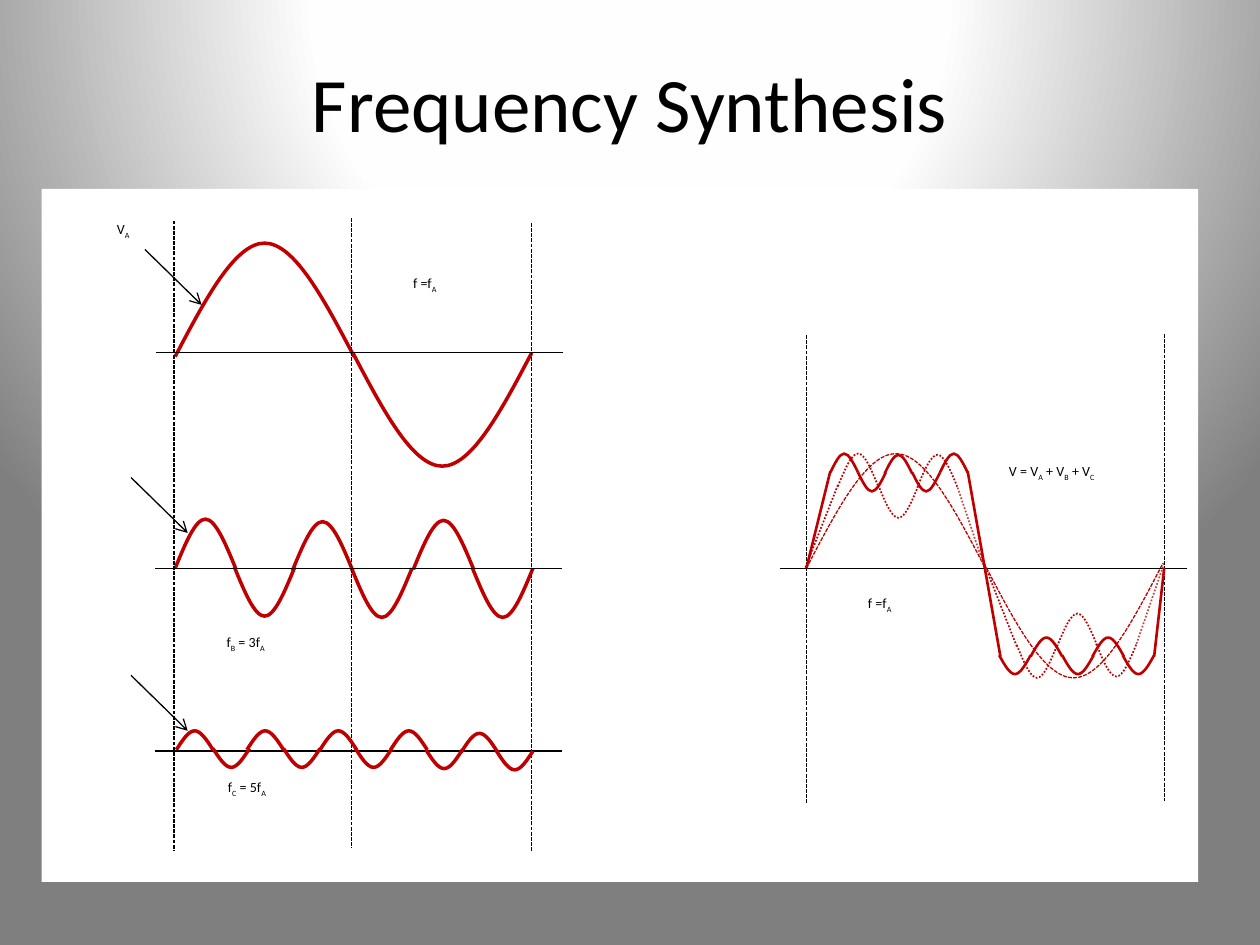
"""Build a slide that shows a wave synthesised from three sine waves."""
from lxml.etree import SubElement
from pptx import Presentation
from pptx.dml.color import RGBColor
from pptx.enum.dml import MSO_LINE_DASH_STYLE as Dash
from pptx.enum.shapes import MSO_CONNECTOR as Connector, MSO_SHAPE as Shape
from pptx.enum.text import MSO_ANCHOR as Anchor, PP_ALIGN as Align
from pptx.oxml import parse_xml
from pptx.oxml.ns import nsdecls, qn
from pptx.util import Pt

PX = 9144
BLACK = RGBColor(0x00, 0x00, 0x00)
WHITE = RGBColor(0xFF, 0xFF, 0xFF)
RED = RGBColor(0xC0, 0x00, 0x00)
PALE_RED = RGBColor(0xBF, 0x4C, 0x48)
DASHED = Dash.SQUARE_DOT
DOTTED = Dash.ROUND_DOT
STOPS = ((0, "FFFFFF"), (40, "FEFEFE"), (100, "7F7F7F"))
ARCH_HEIGHTS = (0, 0.5, 1, 1, 1, 0.5, 0)


class WaveSlide:
    def __init__(self, slide, font="Calibri"):
        self.slide = slide
        self.shapes = slide.shapes
        self.font = font

    def background(self, stops):
        stop_xml = "".join(
            f'<a:gs pos="{place * 1000}"><a:srgbClr val="{color}"/></a:gs>'
            for place, color in stops)
        self.slide.element.cSld.insert(0, parse_xml(
            f'<p:bg {nsdecls("p", "a")}><p:bgPr><a:gradFill rotWithShape="1">'
            f'<a:gsLst>{stop_xml}</a:gsLst><a:path path="circle">'
            '<a:fillToRect l="50000" t="-80000" r="50000" b="180000"/></a:path>'
            '</a:gradFill><a:effectLst/></p:bgPr></p:bg>'))

    def start_group(self):
        self.shapes = self.slide.shapes.add_group_shape().shapes

    def panel(self, x, y, width, height, color):
        panel = self.shapes.add_shape(
            Shape.RECTANGLE, x * PX, y * PX, width * PX, height * PX)
        panel.shadow.inherit = False
        panel.fill.solid()
        panel.fill.fore_color.rgb = color
        panel.line.fill.background()

    def text(self, text, x, y, width, height, size=8, align=Align.LEFT,
             anchor=Anchor.TOP, spacing=1.15, after=10):
        """Add a text box in which the parts between bars are subscripts."""
        box = self.shapes.add_textbox(x * PX, y * PX, width * PX, height * PX)
        frame = box.text_frame
        frame.word_wrap = True
        frame.vertical_anchor = anchor
        para = frame.paragraphs[0]
        para.alignment = align
        para.line_spacing = spacing
        para.space_after = Pt(after)
        for index, part in enumerate(text.split("|")):
            if not part:
                continue
            span = para.add_run()
            span.text = part
            span.font.name = self.font
            span.font.size = Pt(size)
            span.font.color.rgb = BLACK
            if index % 2:
                span.font._element.set("baseline", "-25000")

    def stroke(self, shape, color, weight, dash):
        shape.line.color.rgb = color
        shape.line.width = Pt(weight)
        if dash:
            shape.line.dash_style = dash

    def line(self, x1, y1, x2, y2, color=BLACK, weight=0.75, dash=None, arrow=False):
        line = self.shapes.add_connector(
            Connector.STRAIGHT, x1 * PX, y1 * PX, x2 * PX, y2 * PX)
        self.stroke(line, color, weight, dash)
        if arrow:
            SubElement(line.line._get_or_add_ln(), qn("a:tailEnd"), type="arrow")
        SubElement(line._element.spPr, qn("a:effectLst"))

    def half_wave(self, x, y, width, rise, weight=2, dash=None):
        """Draw one arch of two Bezier curves; a negative rise goes downwards."""
        points = [(round((x + width * index / 6) * PX), round((y - rise * height) * PX))
                  for index, height in enumerate(ARCH_HEIGHTS)]
        builder = self.shapes.build_freeform(*points[0])
        builder.add_line_segments(points[1:], close=False)
        wave = builder.convert_to_shape()
        segments = list(wave._element.iter(qn("a:lnTo")))
        outline = segments[0].getparent()
        for start in (0, 3):
            curve = SubElement(outline, qn("a:cubicBezTo"))
            for segment in segments[start:start + 3]:
                curve.append(segment[0])
                outline.remove(segment)
        wave.shadow.inherit = False
        wave.fill.background()
        self.stroke(wave, RED, weight, dash)

    def half_waves(self, feet, width, rise, **style):
        """Draw arches at the feet, turning over from each one to the next."""
        for index, (x, y) in enumerate(feet):
            self.half_wave(x, y, width, rise * (-1) ** index, **style)


def draw_sum(page):
    page.half_waves([(640, 451), (781, 447)], 142, 91, weight=0.75, dash=DASHED)
    page.line(619, 451, 942, 451)
    dotted = {"weight": 1, "dash": DOTTED}
    page.half_waves([(665, 386), (697, 385), (728, 387)], 32, 26, **dotted)
    page.half_waves([(807, 512), (839, 513), (870, 511)], 32, -26, **dotted)
    for ends, color in (((665, 385, 639, 451), RED), ((760, 387, 782, 452), PALE_RED),
                        ((807, 513, 781, 447), RED), ((902, 511, 924, 447), PALE_RED)):
        page.line(*ends, color=color, **dotted)
    for x, top in ((640, 266), (924, 265)):
        page.line(x, top, x, top + 371, dash=DASHED)
    page.text("f =f|A|", 679, 465, 82, 47)
    page.text("V = V|A| + V|B| + V|C|", 791, 360, 143, 47)
    page.half_waves([(659, 375), (681, 375), (702, 376), (724, 375), (746, 375)],
                    22, 15, weight=1.5)
    page.half_waves([(793, 520), (818, 521), (843, 520), (867, 521), (891, 520)],
                    25, -15, weight=1.5)
    for ends in ((659, 374, 640, 451), (768, 374, 794, 521), (916, 521, 924, 451)):
        page.line(*ends, color=RED, weight=1.5)


def draw_sources(page):
    page.text("f|C| = 5f|A|", 171, 611, 103, 47)
    page.text("f|B| = 3f|A|", 170, 496, 104, 47)
    page.text("V|A|", 83, 168, 48, 47)
    page.text("f =f|A|", 318, 211, 82, 47)
    page.half_waves([(139, 283), (280, 280)], 142, 90)
    page.half_waves([(139, 451), (186, 450), (232, 453), (279, 451),
                     (328, 452), (375, 451)], 48, 39)
    for x, top, bottom in ((138, 175, 675), (279, 173, 673), (422, 177, 675)):
        page.line(x, top, x, bottom, dash=DASHED)
    for x, y in ((124, 280), (123, 451), (123, 596)):
        page.line(x, y, x + 323, y)
    for x, y in ((115, 198), (104, 379), (104, 536)):
        page.line(x, y, x + 45, y + 44, arrow=True)
    page.half_waves([(140, 595), (169, 594), (196, 595), (225, 594), (254, 595),
                     (282, 594), (310, 595), (338, 595), (366, 597), (394, 596)],
                    29, 15)


def main():
    deck = Presentation()
    deck.slide_width, deck.slide_height = 1000 * PX, 750 * PX
    page = WaveSlide(deck.slides.add_slide(deck.slide_layouts[6]))
    page.background(STOPS)
    page.text("Frequency Synthesis", 75, 0, 850, 161, size=44, align=Align.CENTER,
              anchor=Anchor.MIDDLE, spacing=1.0, after=0)
    page.panel(33, 150, 918, 550, WHITE)
    page.start_group()
    draw_sum(page)
    draw_sources(page)
    deck.save("out.pptx")


if __name__ == "__main__":
    main()
